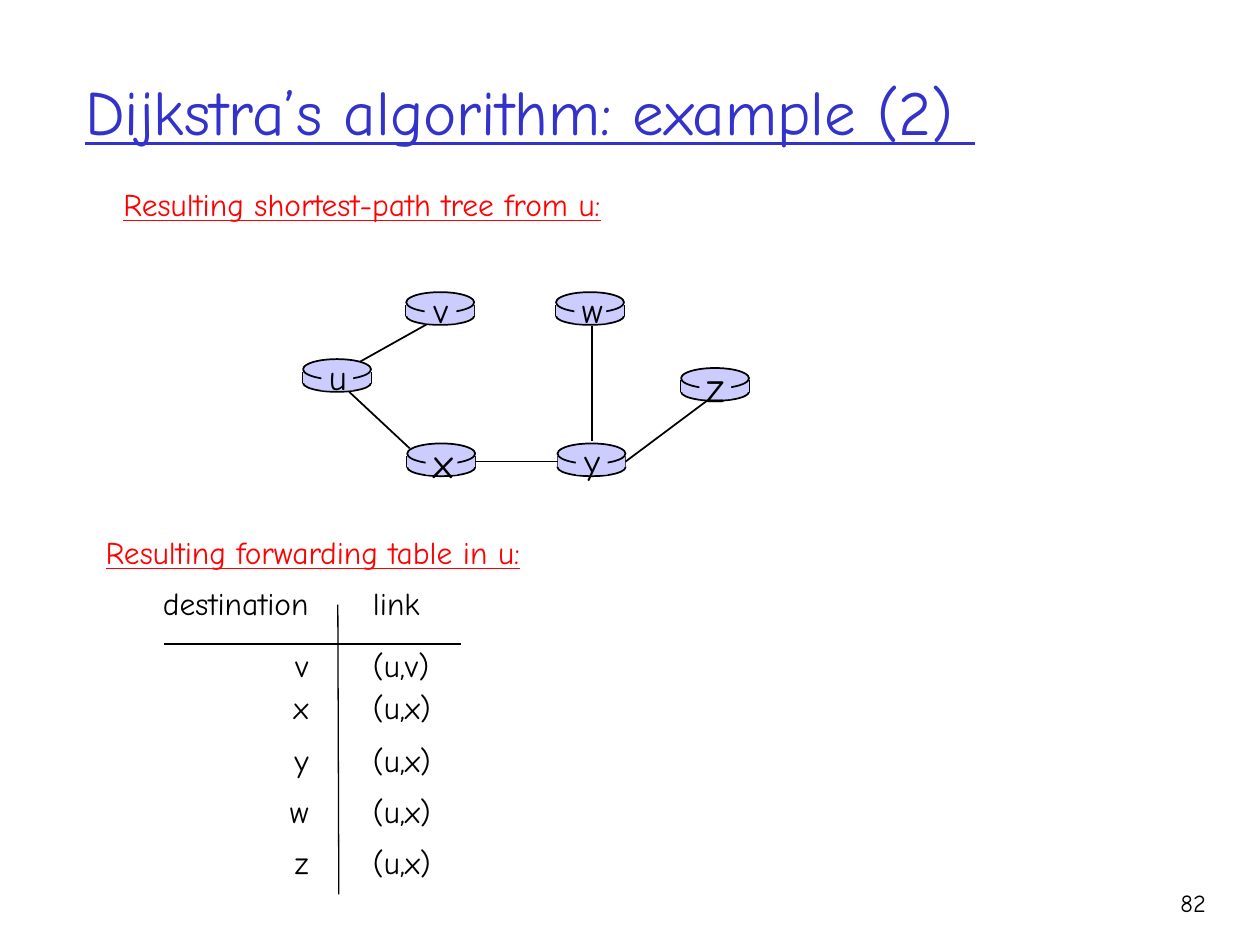
from dataclasses import dataclass

from pptx import Presentation
from pptx import util as u
from pptx.dml.color import RGBColor
from pptx.enum import shapes, text
from pptx.oxml.ns import qn
from lxml import etree

HUES = {"ink": "000000", "title": "3333CC", "head": "FF0000", "node": "CCCCFF"}
LEFT, MID, RIGHT = text.PP_ALIGN.LEFT, text.PP_ALIGN.CENTER, text.PP_ALIGN.RIGHT
OVAL, RECT = shapes.MSO_SHAPE.OVAL, shapes.MSO_SHAPE.RECTANGLE
WIDE, RIM = 1.37, 0.41  # router width and height of its top, in cm


@dataclass
class Router:
    name: str
    x: float
    y: float
    size: int = 20


@dataclass
class Label:
    words: str
    box: tuple
    size: int
    hue: str
    line: bool = False
    align: int = LEFT
    wrap: bool = False
    anchor: int = text.MSO_ANCHOR.TOP


ROUTERS = [
    Router("u", 6.11, 7.24), Router("x", 8.21, 8.94, 24), Router("v", 8.19, 5.89),
    Router("w", 11.21, 5.89), Router("y", 11.24, 8.94), Router("z", 13.73, 7.42, 24),
]
LABELS = [
    Label("Dijkstra’s algorithm: example (2) ", (1.47, 0.64, 21.59, 3.18), 36, "title",
          True, wrap=True, anchor=text.MSO_ANCHOR.MIDDLE),
    Label("Resulting shortest-path tree from u:", (2.24, 3.61, 10.16, 1.02), 18, "head", True),
    Label("Resulting forwarding table in u:", (1.88, 10.62, 8.92, 1.02), 18, "head", True),
    Label("82", (22.68, 17.78, 1.88, 1.27), 14, "ink", align=RIGHT, wrap=True),
]
ROUTES = [("destination", "link"), ("v", "(u,v)"), ("x", "(u,x)"),
          ("y", "(u,x)"), ("w", "(u,x)"), ("z", "(u,x)")]
HEIGHTS = [1.24, 0.86, 1.07, 1.02, 1.02, 0.99]


def rgb(hue: str) -> RGBColor:
    return RGBColor.from_string(HUES[hue])


def write(frame, words: str, size: int, hue: str, line: bool, align: int) -> None:
    para = frame.paragraphs[0]
    para.alignment = align
    run = para.add_run()
    run.text = words
    form = {"name": "Comic Neue", "size": u.Pt(size), "underline": line}
    for key, val in form.items():
        setattr(run.font, key, val)
    run.font.color.rgb = rgb(hue)


def add_label(slide, label: Label) -> None:
    frame = slide.shapes.add_textbox(*map(u.Cm, label.box)).text_frame
    frame.word_wrap = label.wrap
    frame.vertical_anchor = label.anchor
    write(frame, label.words, label.size, label.hue, label.line, label.align)


def add_line(slide, x1: float, y1: float, x2: float, y2: float, width: float = 1):
    line = slide.shapes.add_connector(
        shapes.MSO_CONNECTOR.STRAIGHT, *map(u.Cm, (x1, y1, x2, y2)))
    line.line.color.rgb = rgb("ink")
    line.line.width = u.Pt(width)
    etree.SubElement(line._element.spPr, qn("a:effectLst"))
    return line


def add_part(slide, kind, x: float, y: float, w: float, h: float, edge: bool = False):
    part = slide.shapes.add_shape(kind, *map(u.Cm, (x, y, w, h)))
    part.shadow.inherit = False
    part.fill.solid()
    part.fill.fore_color.rgb = rgb("node")
    if edge:
        part.line.color.rgb = rgb("ink")
        part.line.width = u.Pt(1)
    else:
        part.line.fill.background()
    return part


def add_router(slide, node: Router):
    """Draw the drum and return its body, to which links are joined."""
    x, y = node.x, node.y
    add_part(slide, OVAL, x, y + 0.3, WIDE, 0.36, True)
    for side in (x, x + WIDE):
        add_line(slide, side, y + 0.25, side, y + 0.48)
    body = add_part(slide, RECT, x, y + 0.25, WIDE, 0.23)
    add_part(slide, OVAL, x, y, WIDE, RIM, True)
    return body


def add_name(slide, node: Router) -> None:
    add_part(slide, RECT, node.x + 0.37, node.y + 0.05, 0.64, 0.58)
    high = 1.12 if node.size == 20 else 1.27
    box = (node.x + 0.27, node.y + 0.36 - high / 2, 0.86, high)
    add_label(slide, Label(node.name, box, node.size, "ink", align=MID))


def add_tree(slide) -> None:
    add_line(slide, 7.26, 7.29, 8.76, 6.45)  # u to v
    body = {node.name: add_router(slide, node) for node in ROUTERS}
    add_line(slide, 11.94, 6.58, 11.94, 8.89)  # w to y
    add_line(slide, 8.26, 9.04, 7.04, 7.9)  # x to u
    add_line(slide, 12.65, 9.27, 14.25, 8.08).begin_connect(body["y"], 3)  # y to z
    link = add_line(slide, 11.25, 9.32, 9.63, 9.32)
    link.begin_connect(body["y"], 1)
    link.end_connect(body["x"], 3)
    for node in ROUTERS:
        add_name(slide, node)


def add_routes(slide) -> None:
    spot = (3.05, 11.84, 6.25, sum(HEIGHTS))
    grid = slide.shapes.add_table(len(ROUTES), 2, *map(u.Cm, spot)).table
    grid.first_row = grid.horz_banding = False
    for col, wide in zip(grid.columns, (3.77, 2.48)):
        col.width = u.Cm(wide)
    for i, (row, high) in enumerate(zip(ROUTES, HEIGHTS)):
        grid.rows[i].height = u.Cm(high)
        for j, words in enumerate(row):
            cell = grid.cell(i, j)
            cell.fill.background()
            pads = {"margin_left": 0.7 * j, "margin_right": 0.6 * (1 - j),
                    "margin_top": 0, "margin_bottom": 0}
            for key, val in pads.items():
                setattr(cell, key, u.Cm(val))
            write(cell.text_frame, words, 18, "ink", False, LEFT if j else RIGHT)
    add_line(slide, 6.81, 12.19, 6.83, 18.03, 0.75)
    add_line(slide, 3.3, 12.98, 9.3, 12.98, 0.75)


def main() -> None:
    deck = Presentation()
    deck.slide_width, deck.slide_height = u.Cm(25.4), u.Cm(19.05)
    slide = deck.slides.add_slide(deck.slide_layouts[6])
    add_tree(slide)
    add_routes(slide)
    for label in LABELS:
        add_label(slide, label)
    deck.save("out.pptx")


if __name__ == "__main__":
    main()
